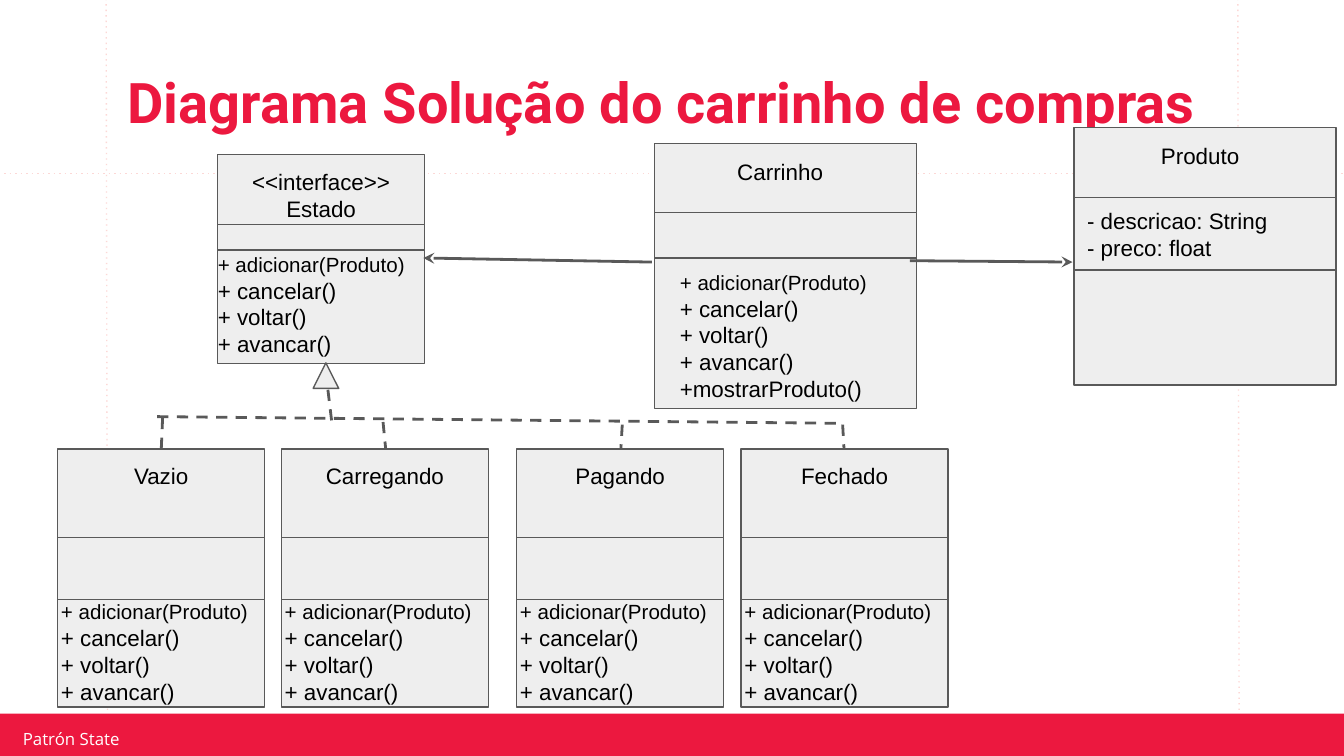
from lxml.etree import SubElement
from pptx import Presentation
from pptx.dml.color import RGBColor
from pptx.enum.shapes import MSO_CONNECTOR, MSO_SHAPE
from pptx.enum.text import MSO_ANCHOR, PP_ALIGN
from pptx.oxml.ns import qn
from pptx.util import Inches, Pt

deck = Presentation()
deck.slide_width = Inches(10)
deck.slide_height = deck.slide_width * 9 // 16
slide = deck.slides.add_slide(deck.slide_layouts[6])
shapes = slide.shapes
cell = deck.slide_width / 100
hue = RGBColor.from_string
RED, PINK, GREY, DARK = "EC183F", "FCD8D6", "EEEEEE", "595959"


def box(grid, form=None, fill=GREY, edge=DARK, rows=(), font="Arial",
        ink="000000", bold=False, align=PP_ALIGN.LEFT, anchor=MSO_ANCHOR.TOP,
        pad=(1, 1), space=None):
    place = [round(n * cell) for n in grid]
    if form is None:
        shape = shapes.add_textbox(*place)
    else:
        shape = shapes.add_shape(form, *place)
        shape.shadow.inherit = False
        shape.fill.solid()
        shape.fill.fore_color.rgb = hue(fill)
        if edge:
            shape.line.color.rgb = hue(edge)
            shape.line.width = Pt(0.75)
        else:
            shape.line.fill.background()
    frame = shape.text_frame
    frame.word_wrap = True
    frame.vertical_anchor = anchor
    frame.margin_left = frame.margin_right = round(pad[0] * cell)
    frame.margin_top = frame.margin_bottom = round(pad[1] * cell)
    for i, (text, size) in enumerate(rows):
        para = frame.add_paragraph() if i else frame.paragraphs[0]
        para.alignment = align
        if space:
            para.line_spacing = space
        run = para.add_run()
        run.text = text
        run.font.name, run.font.size, run.font.bold = font, Pt(size), bold
        run.font.color.rgb = hue(ink)


def link(ends, ink=DARK, width=1.5, dash="solid", tip=None):
    line = shapes.add_connector(
        MSO_CONNECTOR.STRAIGHT, *[round(n * cell) for n in ends])
    line.line.color.rgb = hue(ink)
    line.line.width = Pt(width)
    props = line.line._get_or_add_ln()
    SubElement(props, qn("a:prstDash"), val=dash)
    if tip:
        SubElement(props, qn(tip), type="stealth")
    SubElement(line._element.spPr, qn("a:effectLst"))


for ends in [(7.9, -0.1, 8, 53.3), (92.1, -0.1, 92.2, 53.3),
             (-0.1, 12.9, 100.3, 12.9), (-0.2, 53.2, 100.2, 53.2)]:
    link(ends, PINK, 0.75, "dot")
box((-0.2, 53.1, 100.3, 3.6), MSO_SHAPE.RECTANGLE, RED, None)
box((1.2, 54.2, 23.9, 1.5), rows=[("Patrón State", 9)], font="Open Sans",
    ink="FFFFFF", anchor=MSO_ANCHOR.MIDDLE, pad=(0.5, 0.2))
box((8.5, 4.6, 84.3, 6.5), rows=[("Diagrama Solução do carrinho de compras", 30)],
    font="Roboto", ink=RED, bold=True, anchor=MSO_ANCHOR.BOTTOM, space=0.9)

acts = [("+ adicionar(Produto)", 11), ("+ cancelar()", 12),
        ("+ voltar()", 12), ("+ avancar()", 12)]
more = acts + [("+mostrarProduto()", 12)]
data = [("- descricao: String", 12), ("- preco: float", 12)]
kinds = [
    (["<<interface>>", "Estado"], (16.2, 11.5, 15.4, 15.55), (16.7, 1.9), (0, 0), [], acts, (-0.98, 17.75)),
    (["Carrinho"], (48.7, 10.7, 19.5, 19.7), (15.8, 3.4), (1.65, 0.1), [], more, (0.9, 19.1)),
    (["Produto"], (79.9, 9.5, 19.5, 19.15), (14.7, 5.4), (1.7, 0.1), data, [], (0, 0)),
]
for name, left in [("Vazio", 4.3), ("Carregando", 20.95),
                   ("Pagando", 38.45), ("Fechado", 55.15)]:
    kinds.append(([name], (left, 33.4, 15.4, 19.2), (40, 4.6), (0, 0), [], acts, (-0.75, 43.6)))

for names, grid, band, shift, attrs, calls, spot in kinds:
    left, top, wide, high = grid
    box(grid, MSO_SHAPE.RECTANGLE)
    box((left, band[0], wide, band[1]), MSO_SHAPE.RECTANGLE, rows=attrs,
        pad=(1, 0.7))
    box((left + shift[0], top + shift[1], 15.4, 2 + 2 * len(names)),
        rows=[(name, 12) for name in names], align=PP_ALIGN.CENTER)
    if calls:
        box((left + spot[0], spot[1], 17.1, 2 + 2 * len(calls)), rows=calls)

for ends in [(11.7, 31, 62.8, 31.5), (12.1, 31.1, 12, 33.4),
             (24.4, 29, 24.7, 31.5), (28.5, 31.4, 28.7, 33.4),
             (46.3, 31.6, 46.2, 33.4), (62.7, 31.6, 62.8, 33.4)]:
    link(ends, dash="dash")
box((23.3, 27, 1.9, 1.9), MSO_SHAPE.ISOSCELES_TRIANGLE)
link((48.5, 19.5, 31.5, 19.2), tip="a:tailEnd")
link((79.8, 19.5, 67.7, 19.4), tip="a:headEnd")

deck.save("out.pptx")
